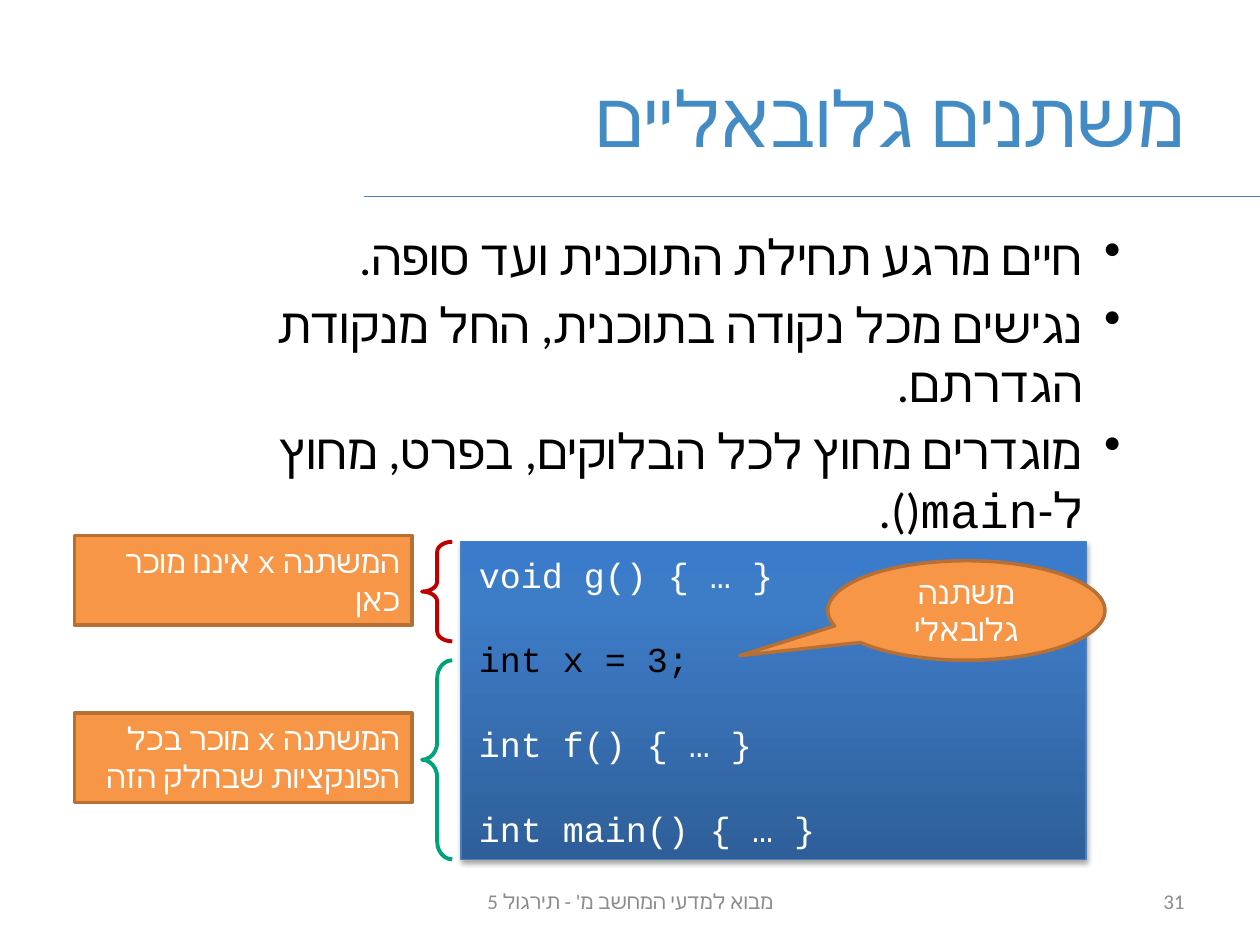
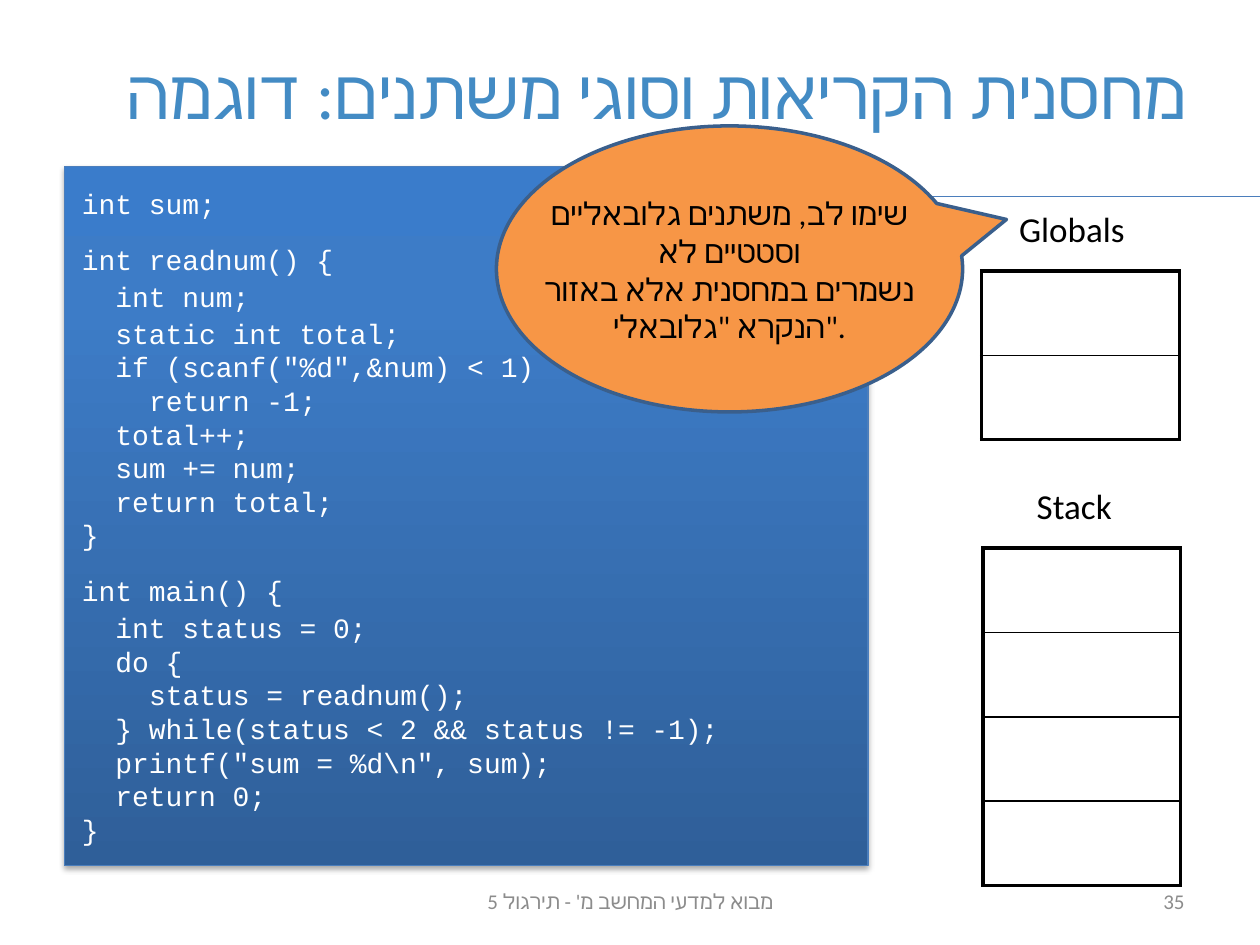
import copy
from typing import NamedTuple, Optional

import lxml.etree
import pptx
import pptx.dml.color
import pptx.enum.shapes
import pptx.enum.text
import pptx.oxml.ns
import pptx.util

RGB = pptx.dml.color.RGBColor
SHAPE = pptx.enum.shapes.MSO_SHAPE
ALIGN = pptx.enum.text.PP_ALIGN
ANCHOR = pptx.enum.text.MSO_ANCHOR
qn = pptx.oxml.ns.qn
Pt = pptx.util.Pt

# Shared colours, fonts and scale (100 px to the inch)
EMU_PER_PX = 9144
BLACK = RGB(0x00, 0x00, 0x00)
WHITE = RGB(0xFF, 0xFF, 0xFF)
GRAY = RGB(0x8C, 0x8C, 0x8C)
TITLE_BLUE = RGB(0x43, 0x8B, 0xC4)
RULE_BLUE = RGB(0x4B, 0x7E, 0xBC)
DARK_BLUE = RGB(0x3A, 0x5F, 0x8C)
ORANGE = RGB(0xF7, 0x96, 0x46)
BROWN = RGB(0xB7, 0x6F, 0x34)
GREEN = RGB(0x00, 0xA2, 0x78)
RED = RGB(0xC0, 0x00, 0x00)
CODE_GRADIENT = (
    (0.0, RGB(0x2F, 0x5F, 0x99)),
    (0.8, RGB(0x3D, 0x7C, 0xC7)),
    (1.0, RGB(0x3A, 0x7C, 0xCB)),
)
CODE_FONT = "Courier New"
BODY_FONT = "Calibri"
NOTE_FONT = "Times New Roman"
FOOTER = "מבוא למדעי המחשב מ' - תירגול 5"


class Box(NamedTuple):
    left: int
    top: int
    width: int
    height: int


class Style(NamedTuple):
    size: float
    font: str
    colour: RGB
    align: ALIGN = ALIGN.LEFT
    rtl: bool = False
    bullet: bool = False
    line_height: Optional[float] = None


class Span(NamedTuple):
    text: str
    font: str


class Para(NamedTuple):
    spans: tuple[Span, ...] | str
    before: float = 0
    indent: float = 0
    colour: Optional[RGB] = None


class Note(NamedTuple):
    top: int
    ending: str


class Brace(NamedTuple):
    top: int
    height: int
    bend: float
    colour: RGB


class MemoryTable(NamedTuple):
    name: str
    label: Box
    left: int
    top: int
    rows: int


TITLE = Style(44, "Arial", TITLE_BLUE, ALIGN.RIGHT, True)
LONG_TITLE = TITLE._replace(size=39.6)
BULLETS = Style(28, BODY_FONT, BLACK, ALIGN.RIGHT, True, True)
FOOTER_TEXT = Style(12, BODY_FONT, GRAY, ALIGN.CENTER, True)
PAGE_NUMBER = FOOTER_TEXT._replace(align=ALIGN.RIGHT)
NOTE = Style(18, NOTE_FONT, WHITE, ALIGN.RIGHT, True)
CALLOUT = Style(18, NOTE_FONT, WHITE, ALIGN.CENTER)
REMARK = Style(18, BODY_FONT, BLACK, ALIGN.CENTER)
LABEL = Style(20, BODY_FONT, BLACK)
LARGE_CODE = Style(20, CODE_FONT, WHITE, line_height=24)
SMALL_CODE = Style(16, CODE_FONT, WHITE, line_height=19.2)


def px(length: int) -> int:
    return length * EMU_PER_PX


def emu(box: Box) -> list[int]:
    return [px(length) for length in box]


def write(frame, paras: list[Para], style: Style, anchor=ANCHOR.TOP, wrap=True) -> None:
    """Fill a text frame with paragraphs of one style."""
    frame.word_wrap = wrap
    frame.vertical_anchor = anchor
    for index, para in enumerate(paras):
        paragraph = frame.add_paragraph() if index else frame.paragraphs[0]
        paragraph.alignment = style.align
        paragraph.space_before = Pt(para.before)
        if style.line_height:
            paragraph.line_spacing = Pt(style.line_height)
        paragraph.font.size = Pt(style.size)
        paragraph.font.color.rgb = para.colour or style.colour
        if isinstance(para.spans, str):
            paragraph.text = para.spans
            paragraph.font.name = style.font
        else:
            for span in para.spans:
                run = paragraph.add_run()
                run.text = span.text
                run.font.name = span.font
        properties = paragraph._p.get_or_add_pPr()
        defaults = properties.find(qn("a:defRPr"))
        if style.font != CODE_FONT:
            lxml.etree.SubElement(defaults, qn("a:cs"), typeface=BODY_FONT)
        if style.rtl:
            properties.set("rtl", "1")
        if para.indent:
            properties.set("marL", str(Pt(para.indent)))
        if style.bullet:
            properties.set("marL", str(px(81)))
            properties.set("indent", str(px(-31)))
            bullet = lxml.etree.Element(qn("a:buChar"), char="•")
            defaults.addprevious(bullet)


def add_text(page, box: Box, paras: list[Para], style: Style, anchor=ANCHOR.TOP, wrap=True):
    frame = page.shapes.add_textbox(*emu(box)).text_frame
    write(frame, paras, style, anchor, wrap)
    return frame


def add_shape(page, kind, box: Box, fill: Optional[RGB], line: RGB, weight: float, bends=()):
    shape = page.shapes.add_shape(kind, *emu(box))
    shape.shadow.inherit = False
    if fill is None:
        shape.fill.background()
    else:
        shape.fill.solid()
        shape.fill.fore_color.rgb = fill
    shape.line.color.rgb = line
    shape.line.width = Pt(weight)
    for index, bend in enumerate(bends):
        shape.adjustments[index] = bend
    return shape


def add_code(page, box: Box, paras: list[Para], style: Style, top_inset: int) -> None:
    """Draw a shaded code panel with a soft shadow below it."""
    panel = add_shape(page, SHAPE.RECTANGLE, box, None, RULE_BLUE, 0.75)
    panel.fill.gradient()
    panel.fill.gradient_angle = 90
    stop_list = panel._element.spPr.find(qn("a:gradFill")).find(qn("a:gsLst"))
    stop_list.append(copy.deepcopy(stop_list[-1]))
    for stop, (position, colour) in zip(panel.fill.gradient_stops, CODE_GRADIENT):
        stop.position = position
        stop.color.rgb = colour
    effects = panel._element.spPr.find(qn("a:effectLst"))
    shadow = lxml.etree.SubElement(
        effects, qn("a:outerShdw"), blurRad=str(Pt(3.1)), dist=str(Pt(1.8)),
        dir="5400000", rotWithShape="0")
    tint = lxml.etree.SubElement(shadow, qn("a:srgbClr"), val="000000")
    lxml.etree.SubElement(tint, qn("a:alpha"), val="35000")
    frame = panel.text_frame
    frame.margin_left = frame.margin_right = px(14)
    frame.margin_top, frame.margin_bottom = px(top_inset), px(9)
    write(frame, paras, style)


def add_memory(page, memory: MemoryTable) -> None:
    """Draw a labelled column of empty memory cells."""
    box = Box(memory.left, memory.top, 157, 67 * memory.rows)
    table = page.shapes.add_table(memory.rows, 1, *emu(box)).table
    table.first_row = table.horz_banding = False
    for index in range(memory.rows):
        cell = table.cell(index, 0)
        weights = {
            "a:lnL": 2.25,
            "a:lnR": 2.25,
            "a:lnT": 1 if index else 2.25,
            "a:lnB": 1 if index < memory.rows - 1 else 2.25,
        }
        properties = cell._tc.get_or_add_tcPr()
        for side, weight in weights.items():
            border = lxml.etree.SubElement(properties, qn(side), w=str(Pt(weight)))
            paint = lxml.etree.SubElement(border, qn("a:solidFill"))
            lxml.etree.SubElement(paint, qn("a:srgbClr"), val=str(BLACK))
        cell.fill.background()
    add_text(page, memory.label, [Para(memory.name)], LABEL, wrap=False)


def add_page(deck, title: str, title_box: Box, title_style: Style, number: int):
    """Start a page with its rule, title, footer and number."""
    page = deck.slides.add_slide(deck.slide_layouts[6])
    rule = page.shapes.add_connector(
        pptx.enum.shapes.MSO_CONNECTOR.STRAIGHT, px(1000), px(156), px(289), px(156))
    rule.line.color.rgb = RULE_BLUE
    rule.line.width = Pt(0.75)
    lxml.etree.SubElement(rule._element.spPr, qn("a:effectLst"))
    add_text(page, title_box, [Para(title)], title_style, ANCHOR.MIDDLE)
    add_text(page, Box(342, 695, 317, 40), [Para(FOOTER)], FOOTER_TEXT, ANCHOR.MIDDLE)
    add_text(page, Box(717, 695, 233, 40), [Para(str(number))], PAGE_NUMBER, ANCHOR.MIDDLE)
    return page


def build_globals_page(deck) -> None:
    page = add_page(deck, "משתנים גלובאליים", Box(50, 30, 900, 125), TITLE, 31)
    frame = add_text(page, Box(50, 175, 900, 495), [
        Para("חיים מרגע תחילת התוכנית ועד סופה.", 5),
        Para("נגישים מכל נקודה בתוכנית, החל מנקודת הגדרתם.", 5),
        Para((Span("מוגדרים מחוץ לכל הבלוקים, בפרט, מחוץ ל-", BODY_FONT),
              Span("main().", CODE_FONT)), 5),
    ], BULLETS)
    frame.margin_left = px(20)

    # Code and the callout on its global variable
    gap = 24.4
    add_code(page, Box(366, 430, 496, 252), [
        Para("void g() { … }"),
        Para("int x = 3;", gap, colour=BLACK),
        Para("int f() { … }", gap),
        Para("int main() { … }", gap),
    ], LARGE_CODE, 9)
    callout = add_shape(page, SHAPE.OVAL_CALLOUT, Box(657, 445, 220, 79),
                        ORANGE, BROWN, 2, (-0.818, 0.454))
    write(callout.text_frame, [Para("משתנה גלובאלי")], CALLOUT, ANCHOR.MIDDLE)

    # Scope of the variable
    for brace in (Brace(524, 158, 0.579, GREEN), Brace(430, 79, 0.331, RED)):
        add_shape(page, SHAPE.LEFT_BRACE, Box(335, brace.top, 24, brace.height),
                  None, brace.colour, 2.25, (brace.bend, 0.5))
    for note in (Note(566, " מוכר בכל הפונקציות שבחלק הזה"), Note(425, " איננו מוכר כאן")):
        label = add_shape(page, SHAPE.RECTANGLE, Box(59, note.top, 268, 71), ORANGE, BROWN, 2)
        spans = (Span("המשתנה ", NOTE_FONT), Span("x", CODE_FONT), Span(note.ending, NOTE_FONT))
        write(label.text_frame, [Para(spans)], NOTE)


def build_stack_page(deck) -> None:
    page = add_page(deck, "מחסנית הקריאות וסוגי משתנים: דוגמה",
                    Box(52, 10, 900, 125), LONG_TITLE, 35)

    # Program: two characters of indent per level
    level, gap, lead = 19.2, 12.8, 1.9
    add_code(page, Box(51, 132, 638, 555), [
        Para("int sum;"),
        Para("int readnum() {", gap),
        Para("int num;", lead, level),
        Para("static int total;", lead, level),
        Para('if (scanf("%d",&num) < 1)', 0, level),
        Para("return -1;", 0, 2 * level),
        Para("total++;", 0, level),
        Para("sum += num;", 0, level),
        Para("return total;", 0, level),
        Para("}"),
        Para("int main() {", gap),
        Para("int status = 0;", lead, level),
        Para("do {", 0, level),
        Para("status = readnum();", 0, 2 * level),
        Para("} while(status < 2 && status != -1);", 0, level),
        Para('printf("sum = %d\\n", sum);', 0, level),
        Para("return 0;", 0, level),
        Para("}"),
    ], SMALL_CODE, 16)

    # Memory areas
    for memory in (MemoryTable("Stack", Box(813, 380, 90, 43), 780, 435, 4),
                   MemoryTable("Globals", Box(799, 160, 114, 43), 779, 215, 2)):
        add_memory(page, memory)

    # Remark on where globals are kept
    add_shape(page, SHAPE.OVAL_CALLOUT, Box(394, 100, 370, 227),
              ORANGE, DARK_BLUE, 2, (0.594, -0.173))
    remark = ("שימו לב, משתנים גלובאליים וסטטיים לא\n"
              'נשמרים במחסנית אלא באזור הנקרא "גלובאלי".')
    add_text(page, Box(407, 149, 344, 162), [Para(remark)], REMARK)


def main() -> None:
    deck = pptx.Presentation()
    deck.slide_width, deck.slide_height = px(1000), px(750)
    build_globals_page(deck)
    build_stack_page(deck)
    deck.save("out.pptx")


if __name__ == "__main__":
    main()
